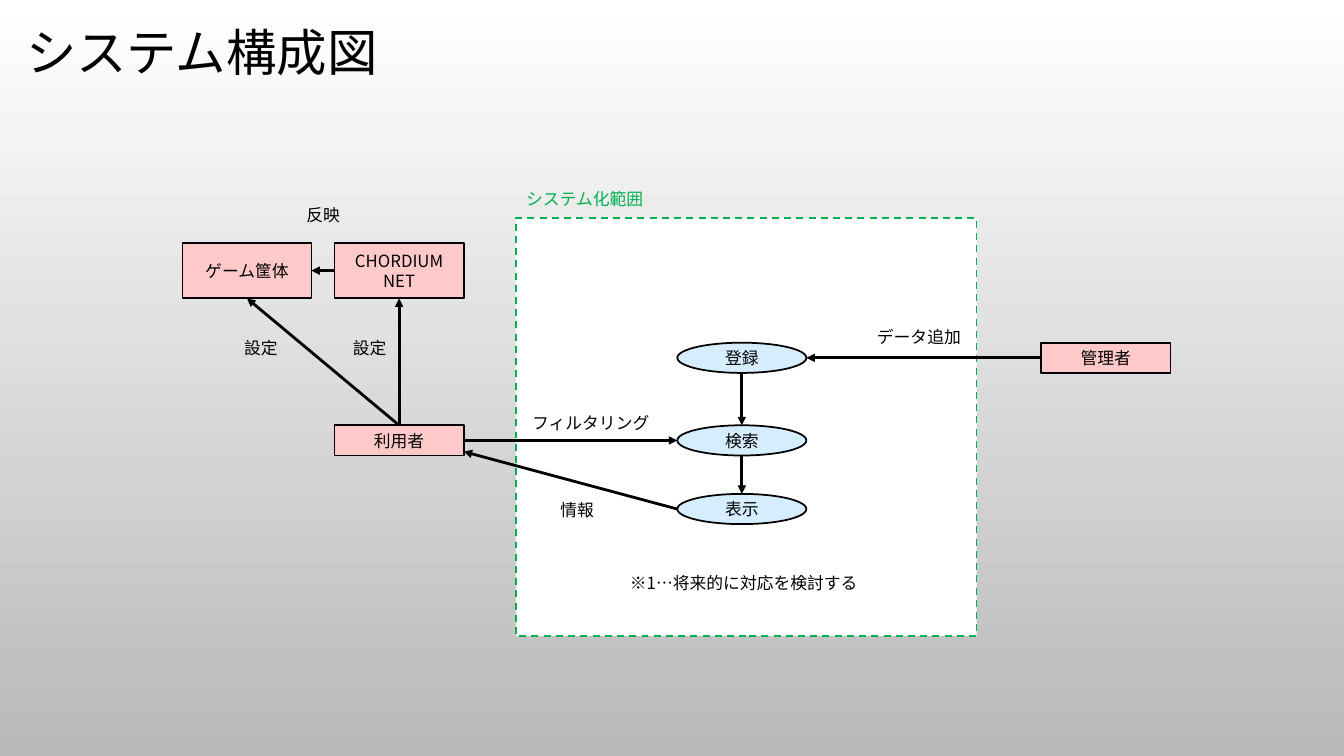
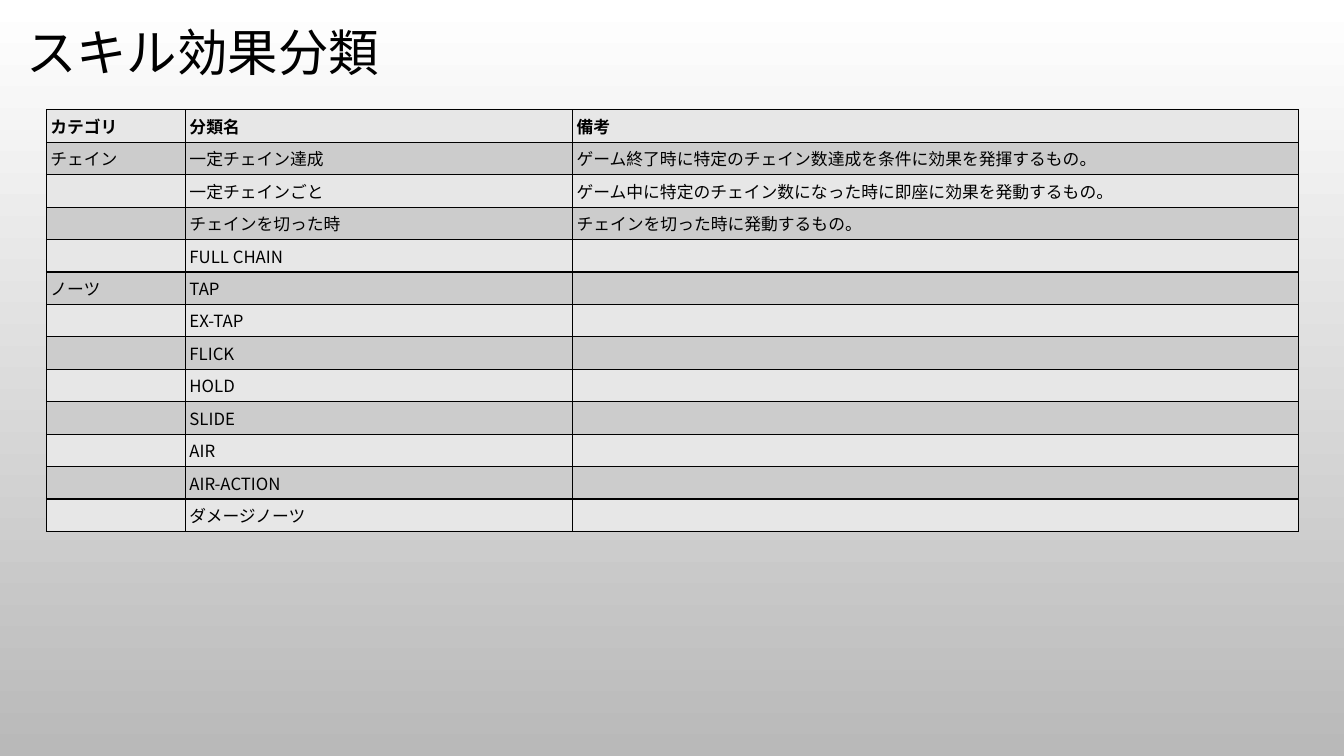
from collections import namedtuple

import pptx
import pptx.dml.color
import pptx.enum.dml
import pptx.enum.shapes
import pptx.enum.text
import pptx.oxml.ns
import pptx.util
from lxml import etree

Pt = pptx.util.Pt
RGBColor = pptx.dml.color.RGBColor
SHAPES = pptx.enum.shapes.MSO_SHAPE
ALIGN = pptx.enum.text.PP_ALIGN
ANCHOR = pptx.enum.text.MSO_ANCHOR
AUTO_SIZE = pptx.enum.text.MSO_AUTO_SIZE
qn = pptx.oxml.ns.qn

Box = namedtuple("Box", "left top width height")

BLACK = RGBColor(0x00, 0x00, 0x00)
WHITE = RGBColor(0xFF, 0xFF, 0xFF)
BACKDROP_GRAY = RGBColor(0xB9, 0xB9, 0xB9)
SCOPE_GREEN = RGBColor(0x00, 0xB0, 0x50)
ACTOR_PINK = RGBColor(0xFF, 0xC9, 0xC9)
FUNCTION_BLUE = RGBColor(0xD5, 0xED, 0xFC)
ROW_LIGHT = RGBColor(0xE7, 0xE7, 0xE7)
ROW_DARK = RGBColor(0xCC, 0xCC, 0xCC)

FONT = "Noto Sans CJK JP"
BODY_SIZE = 12
MARGIN = 2.88
NODE_WIDTH = 92.2
NODE_HEIGHT = 21.6
LABEL_HEIGHT = 20.2
TOP, LEFT, BOTTOM, RIGHT = range(4)

TITLE_BOX = Box(11.5, 12.2, 939.6, 54)
PLAYER_BOX = Box(130.3, 143.3, 200.9, 182.1)
SCOPE_BOX = Box(368.6, 155.5, 329, 298.8)
ADMIN_BOX = Box(743.8, 244.8, NODE_WIDTH, NODE_HEIGHT)
SKILL_BOX = Box(33.1, 78.5, 894.2, 260.6)

SKILL_COLUMNS = (99.4, 276.5, 518.4)
SKILL_ROWS = (
    ("カテゴリ", "分類名", "備考"),
    ("チェイン", "一定チェイン達成", "ゲーム終了時に特定のチェイン数達成を条件に効果を発揮するもの。"),
    ("", "一定チェインごと", "ゲーム中に特定のチェイン数になった時に即座に効果を発動するもの。"),
    ("", "チェインを切った時", "チェインを切った時に発動するもの。"),
    ("", "FULL CHAIN", ""),
    ("ノーツ", "TAP", ""),
    ("", "EX-TAP", ""),
    ("", "FLICK", ""),
    ("", "HOLD", ""),
    ("", "SLIDE", ""),
    ("", "AIR", ""),
    ("", "AIR-ACTION", ""),
    ("", "ダメージノーツ", ""),
)


def write_text(frame, text, *, size=BODY_SIZE, color=BLACK, bold=False,
               align=ALIGN.LEFT, spacing=None):
    paragraph = frame.paragraphs[0]
    paragraph.alignment = align
    paragraph.line_spacing = spacing
    if not text:
        etree.SubElement(paragraph._p, qn("a:endParaRPr"), sz=str(size * 100))
        return
    run = paragraph.add_run()
    run.text = text
    run.font.size = Pt(size)
    run.font.bold = bold
    run.font.color.rgb = color
    run.font.name = FONT
    etree.SubElement(run._r.get_or_add_rPr(), qn("a:ea"), typeface=FONT)


def set_margins(holder):
    holder.margin_left = holder.margin_right = Pt(MARGIN)
    holder.margin_top = holder.margin_bottom = Pt(MARGIN)


def to_points(box):
    return [Pt(length) for length in box]


def add_panel(slide, kind, box, fill, line=BLACK):
    panel = slide.shapes.add_shape(kind, *to_points(box))
    panel.shadow.inherit = False
    panel.fill.solid()
    panel.fill.fore_color.rgb = fill
    panel.line.color.rgb = line
    panel.line.width = Pt(1.25)
    return panel


def add_node(slide, kind, text, left, top, height=NODE_HEIGHT):
    fill = ACTOR_PINK if kind == SHAPES.RECTANGLE else FUNCTION_BLUE
    node = add_panel(slide, kind, Box(left, top, NODE_WIDTH, height), fill)
    frame = node.text_frame
    frame.word_wrap = True
    frame.vertical_anchor = ANCHOR.MIDDLE
    set_margins(frame)
    write_text(frame, text, align=ALIGN.CENTER)
    return node


def add_label(slide, text, left, top, width, color=BLACK, wrap=False):
    label = slide.shapes.add_textbox(*to_points((left, top, width, LABEL_HEIGHT)))
    frame = label.text_frame
    frame.word_wrap = wrap
    frame.auto_size = AUTO_SIZE.SHAPE_TO_FIT_TEXT
    set_margins(frame)
    write_text(frame, text, color=color)


def side_point(node, side):
    across = {LEFT: 0, RIGHT: node.width}.get(side, node.width // 2)
    down = {TOP: 0, BOTTOM: node.height}.get(side, node.height // 2)
    return node.left + across, node.top + down


def add_arrow(slide, start, start_side, target, target_side, lowered=0):
    begin = side_point(start, start_side)
    end_x, end_y = side_point(target, target_side)
    arrow = slide.shapes.add_connector(
        pptx.enum.shapes.MSO_CONNECTOR.STRAIGHT, *begin, end_x, end_y + Pt(lowered))
    if start.auto_shape_type == SHAPES.RECTANGLE:
        arrow.begin_connect(start, start_side)
    if target.auto_shape_type == SHAPES.RECTANGLE and not lowered:
        arrow.end_connect(target, target_side)
    arrow.line.color.rgb = BLACK
    arrow.line.width = Pt(2)
    etree.SubElement(arrow.line._get_or_add_ln(), qn("a:tailEnd"), type="triangle")
    etree.SubElement(arrow._element.spPr, qn("a:effectLst"))


def paint_background(master):
    fill = master.background.fill
    fill.gradient()
    fill.gradient_angle = 270
    for stop, position, color in zip(fill.gradient_stops, (0, 1), (WHITE, BACKDROP_GRAY)):
        stop.position = position
        stop.color.rgb = color


def add_titled_slide(deck, text, box):
    slide = deck.slides.add_slide(deck.slide_layouts.get_by_name("Title Only"))
    title = slide.shapes.title
    title.left, title.top, title.width, title.height = to_points(box)
    title.text_frame.auto_size = AUTO_SIZE.NONE
    title.text_frame.vertical_anchor = ANCHOR.MIDDLE
    write_text(title.text_frame, text, size=36, spacing=0.9)
    return slide


def add_player_region(slide, box):
    right_column = box.left + box.width - NODE_WIDTH
    machine_top = box.top + 30.2
    cabinet = add_node(slide, SHAPES.RECTANGLE, "ゲーム筐体", box.left, machine_top, 39.6)
    portal = add_node(slide, SHAPES.RECTANGLE, "CHORDIUM NET", right_column, machine_top, 39.6)
    user = add_node(slide, SHAPES.RECTANGLE, "利用者", right_column,
                    box.top + box.height - NODE_HEIGHT)
    add_arrow(slide, user, TOP, cabinet, BOTTOM)
    add_arrow(slide, user, TOP, portal, BOTTOM)
    add_arrow(slide, portal, LEFT, cabinet, RIGHT)
    for text, across, down in (("反映", 85.7, 0), ("設定", 41.1, 95), ("設定", 118.8, 95)):
        add_label(slide, text, box.left + across, box.top + down, 30.2)
    return user


def add_scope_region(slide, box):
    frame = add_panel(slide, SHAPES.RECTANGLE, box, WHITE, SCOPE_GREEN)
    frame.line.dash_style = pptx.enum.dml.MSO_LINE.DASH
    register, search, display = [
        add_node(slide, SHAPES.OVAL, text, box.left + 115.2, box.top + down)
        for text, down in (("登録", 89.3), ("検索", 148.3), ("表示", 197.3))]
    add_arrow(slide, register, BOTTOM, search, TOP)
    add_arrow(slide, search, BOTTOM, display, TOP)
    add_label(slide, "システム化範囲", box.left + 4.4, box.top - 23.7, 90.7, color=SCOPE_GREEN)
    add_label(slide, "フィルタリング", box.left + 8.7, box.top + 136.1, 90.7)
    add_label(slide, "情報", box.left + 28.8, box.top + 198.7, 30.2)
    add_label(slide, "データ追加", box.left + 254.9, box.top + 74.9, 66.2)
    add_label(slide, "※1…将来的に対応を検討する", box.left + 78.5, box.top + 250.6, 169.9, wrap=True)
    return register, search, display


def add_system_diagram(deck):
    slide = add_titled_slide(deck, "システム構成図", TITLE_BOX)
    register, search, display = add_scope_region(slide, SCOPE_BOX)
    user = add_player_region(slide, PLAYER_BOX)
    admin = add_node(slide, SHAPES.RECTANGLE, "管理者", ADMIN_BOX.left, ADMIN_BOX.top)
    add_arrow(slide, admin, LEFT, register, RIGHT)
    add_arrow(slide, user, RIGHT, search, LEFT)
    add_arrow(slide, display, LEFT, user, RIGHT, lowered=8)


def draw_borders(cell):
    properties = cell._tc.get_or_add_tcPr()
    for position, edge in enumerate(("a:lnL", "a:lnR", "a:lnT", "a:lnB")):
        border = etree.Element(qn(edge), w=str(Pt(1)))
        paint = etree.SubElement(border, qn("a:solidFill"))
        etree.SubElement(paint, qn("a:srgbClr"), val=str(BLACK))
        properties.insert(position, border)


def add_skill_table(slide, box):
    skills = slide.shapes.add_table(
        len(SKILL_ROWS), len(SKILL_COLUMNS), *to_points(box)).table
    skills.first_row = skills.horz_banding = False
    for column, width in zip(skills.columns, SKILL_COLUMNS):
        column.width = Pt(width)
    for index, (row, texts) in enumerate(zip(skills.rows, SKILL_ROWS)):
        row.height = Pt(box.height / len(SKILL_ROWS))
        for cell, text in zip(row.cells, texts):
            set_margins(cell)
            cell.fill.solid()
            cell.fill.fore_color.rgb = ROW_DARK if index % 2 else ROW_LIGHT
            draw_borders(cell)
            write_text(cell.text_frame, text, bold=index == 0)


def main():
    deck = pptx.Presentation()
    deck.slide_width, deck.slide_height = Pt(960), Pt(540)
    paint_background(deck.slide_master)
    add_system_diagram(deck)
    add_skill_table(add_titled_slide(deck, "スキル効果分類", TITLE_BOX), SKILL_BOX)
    deck.save("out.pptx")


if __name__ == "__main__":
    main()
